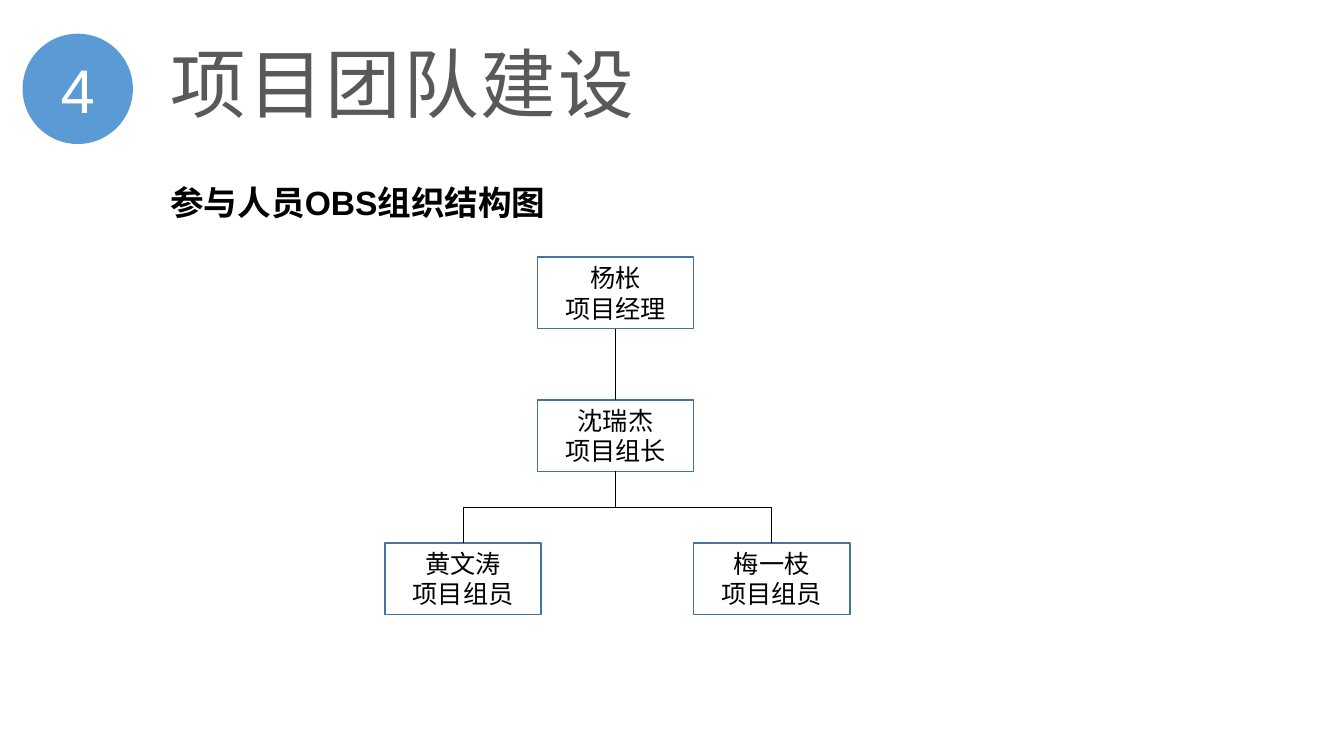
from dataclasses import dataclass

from lxml.etree import SubElement
from pptx import Presentation
from pptx.dml.color import RGBColor
from pptx.enum.shapes import MSO_CONNECTOR as CONN, MSO_SHAPE as SHAPE
from pptx.enum.text import MSO_ANCHOR as ANCHOR, MSO_AUTO_SIZE as AUTO, PP_ALIGN as ALIGN
from pptx.oxml.ns import qn
from pptx.util import Cm, Pt

BOTTOM, TOP = 2, 0


@dataclass(frozen=True)
class Theme:
    accent: str = "5B9BD5"
    border: str = "43739E"
    title: str = "595959"
    ink: str = "000000"
    light: str = "FFFFFF"
    title_size: int = 54
    number_size: int = 44
    heading_size: int = 24
    node_size: int = 18
    border_width: float = 1
    link_width: float = 0.5
    title_font: str = "Calibri"
    heading_font: str = "Arial"


class SlideBuilder:
    def __init__(self, slide, theme):
        self.slide = slide
        self.theme = theme

    def set_text(self, sp, text, font, size, color, align=ALIGN.CENTER,
                 anchor=ANCHOR.MIDDLE, bold=False, spacing=0, line=1.0):
        tf = sp.text_frame
        tf.text = text
        tf.word_wrap = True
        tf.auto_size = AUTO.NONE
        tf.vertical_anchor = anchor
        for p in tf.paragraphs:
            p.alignment = align
            p.line_spacing = line
            p.space_before = Pt(0)
            for r in p.runs:
                r.font.name = font
                r.font.size = Pt(size)
                r.font.bold = bold
                r.font.color.rgb = RGBColor.from_string(color)
                if spacing:
                    r._r.get_or_add_rPr().set("spc", str(int(spacing * 100)))
        return tf

    def place(self, sp, x, y, w, h):
        sp.left, sp.top, sp.width, sp.height = Cm(x), Cm(y), Cm(w), Cm(h)

    def title(self, text, x, y, w, h):
        t = self.theme
        sp = self.slide.shapes.title
        self.place(sp, x, y, w, h)
        self.set_text(sp, text, t.title_font, t.title_size, t.title, ALIGN.LEFT,
                      ANCHOR.BOTTOM, spacing=1.5, line=0.9)

    def heading(self, text, x, y, w, h):
        t = self.theme
        sp = self.slide.placeholders[1]
        self.place(sp, x, y, w, h)
        tf = self.set_text(sp, text, t.heading_font, t.heading_size, t.ink, ALIGN.LEFT,
                           ANCHOR.TOP, bold=True, line=1.5)
        pPr = tf.paragraphs[0]._p.get_or_add_pPr()
        pPr.set("marL", "0")
        pPr.set("indent", "0")
        SubElement(pPr, qn("a:buNone"))

    def badge(self, number, x, y, d):
        t = self.theme
        sp = self.slide.shapes.add_shape(SHAPE.OVAL, Cm(x), Cm(y), Cm(d), Cm(d))
        sp.shadow.inherit = False
        sp.fill.solid()
        sp.fill.fore_color.rgb = RGBColor.from_string(t.accent)
        sp.line.fill.background()
        tf = self.set_text(sp, number, t.heading_font, t.number_size, t.light, spacing=2)
        tf.margin_left = tf.margin_right = tf.margin_top = tf.margin_bottom = 0

    def node(self, name, role, x, y, w=3.94, h=1.8):
        t = self.theme
        sp = self.slide.shapes.add_shape(SHAPE.RECTANGLE, Cm(x), Cm(y), Cm(w), Cm(h))
        sp.shadow.inherit = False
        sp.fill.background()
        sp.line.color.rgb = RGBColor.from_string(t.border)
        sp.line.width = Pt(t.border_width)
        self.set_text(sp, f"{name}\n{role}", t.title_font, t.node_size, t.ink)
        return sp

    def link(self, parent, child):
        dx = child.left - parent.left
        kind = CONN.ELBOW if dx else CONN.STRAIGHT
        cxn = self.slide.shapes.add_connector(kind, 0, 0, 0, 0)
        cxn.begin_connect(parent, BOTTOM)
        cxn.end_connect(child, TOP)
        cxn.line.color.rgb = RGBColor.from_string(self.theme.ink)
        cxn.line.width = Pt(self.theme.link_width)
        SubElement(cxn._element.spPr, qn("a:effectLst"))
        if dx:
            self.turn_upright(cxn, dx)

    def turn_upright(self, cxn, dx):
        w, h = cxn.width, cxn.height
        cxn.left += (w - h) // 2
        cxn.top += (h - w) // 2
        cxn.width, cxn.height = h, w
        xfrm = cxn._element.spPr.find(qn("a:xfrm"))
        xfrm.set("rot", str((270 if dx > 0 else 90) * 60000))
        xfrm.set("flipH", "1" if dx > 0 else "0")
        xfrm.set("flipV", "0")


def main():
    prs = Presentation()
    prs.slide_width, prs.slide_height = Cm(33.87), Cm(19.05)
    s = SlideBuilder(prs.slides.add_slide(prs.slide_layouts[1]), Theme())

    s.title("项目团队建设", 4.04, 1.07, 12.73, 2.31)
    s.badge("4", 0.57, 0.85, 2.78)
    s.heading("参与人员OBS组织结构图", 4.04, 3.94, 10.8, 1.8)

    top, step = 6.48, 3.6
    manager = s.node("杨枨", "项目经理", 13.54, top)
    leader = s.node("沈瑞杰", "项目组长", 13.54, top + step)
    members = [s.node(name, "项目组员", x, top + 2 * step)
               for name, x in (("黄文涛", 9.7), ("梅一枝", 17.48))]

    s.link(manager, leader)
    for member in members:
        s.link(leader, member)

    prs.save("out.pptx")


if __name__ == "__main__":
    main()
